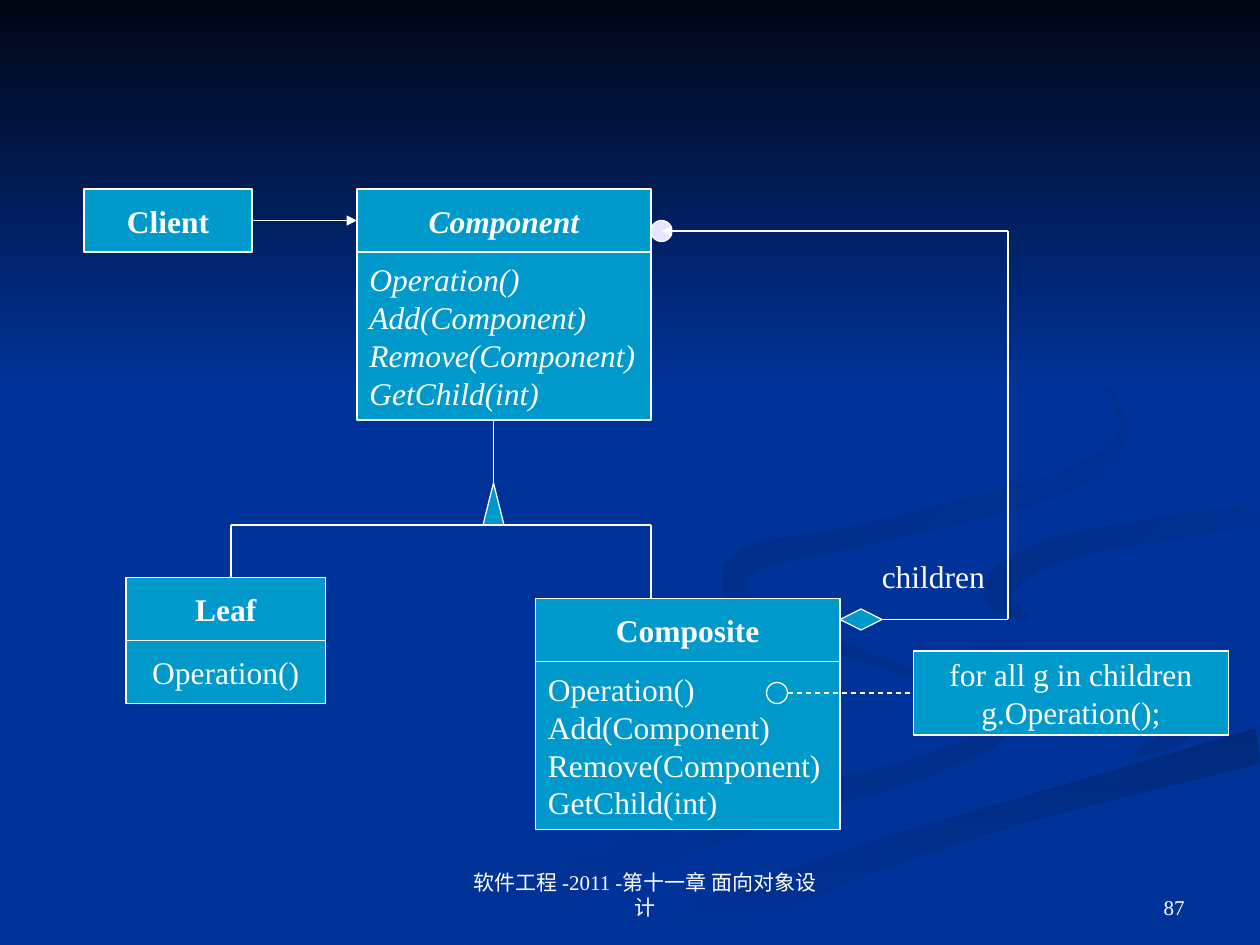
from dataclasses import dataclass
from math import hypot

from lxml.etree import SubElement
from pptx import Presentation
from pptx.dml.color import RGBColor
from pptx.enum.dml import MSO_LINE
from pptx.enum.shapes import MSO_CONNECTOR, MSO_SHAPE
from pptx.enum.text import MSO_ANCHOR, PP_ALIGN
from pptx.oxml.ns import qn
from pptx.util import Cm, Pt


@dataclass(frozen=True)
class Theme:
    font: str = "Times New Roman"
    ground: str = "003399"
    night: str = "000514"
    box: str = "0099CC"
    dot: str = "E5E5FF"
    ink: str = "FFFFFF"
    body: int = 18
    footer: int = 12
    line: float = 0.75


THEME = Theme()
GRID = 2.54 / 12  # cm; everything is laid out on this grid
WIDTH, HEIGHT = 120, 90
TOP, LEFT, BOTTOM, RIGHT = range(4)
TITLE_HEIGHT = 6

MEMBERS = ["Operation()", "Add(Component)", "Remove(Component)", "GetChild(int)"]
# Name: (left, top, width, title, italic, members, member height, alignment)
CLASSES = {
    "client": (8, 18, 16, "Client", False, [], 0, None),
    "component": (34, 18, 28, "Component", True, MEMBERS, 16, PP_ALIGN.LEFT),
    "leaf": (12, 55, 19, "Leaf", False, MEMBERS[:1], 6, PP_ALIGN.CENTER),
    "composite": (51, 57, 29, "Composite", False, MEMBERS, 16, PP_ALIGN.LEFT),
}
NOTE = (87, 62, 30, 8), ["for all g in children", "g.Operation();"]
SYMBOLS = {
    "inheritance": (MSO_SHAPE.ISOSCELES_TRIANGLE, (46, 46, 2, 4), THEME.box),
    "call": (MSO_SHAPE.OVAL, (73, 65, 2, 2), THEME.box),
    "aggregation": (MSO_SHAPE.DIAMOND, (80, 58, 4, 2), THEME.box),
    "many": (MSO_SHAPE.OVAL, (62, 21, 2, 2), THEME.dot),
}
# From, to, then what is special about the link
LINKS = [
    ((47, 40), (47, 46), {"target": ("inheritance", TOP)}),
    ((22, 50), (62, 50), {}),
    ((22, 50), (22, 55), {}),
    ((62, 50), (62, 57), {}),
    ((75, 66), (87, 66), {"dashed": True, "target": ("note", LEFT)}),
    ((84, 59), (96, 59), {"source": ("aggregation", RIGHT)}),
    ((96, 59), (96, 22), {}),
    ((96, 22), (63, 22), {"arrow": True}),
    ((24, 21), (34, 21), {"arrow": True, "source": ("client", RIGHT),
                          "target": ("component", LEFT)}),
]
ROLE = (82.8, 52.5, 12.3, 4.8), ["children"]
FOOTERS = [
    ((41, 82, 38, 6.2), "软件工程 -2011 -第十一章 面向对象设计", PP_ALIGN.CENTER),
    ((86, 82, 28, 6.2), "87", PP_ALIGN.RIGHT),
]

# Background ribbons: first colour, last colour, clockwise angle,
# centre line as (x, y, half thickness)
RIBBONS = [
    ("002E8A", THEME.ground, 180, [
        (69, 55, 0.3), (73, 59, 0.5), (89, 65, 0.5), (95, 69, 1),
        (88, 73, 1), (67, 79, 1.7), (41, 89, 3)]),
    ("002E8A", THEME.ground, 225, [
        (87, 56, 0.1), (91, 60, 0.6), (103, 64, 0.7), (112, 69, 1.4), (108, 72, 0.1)]),
    ("00297C", THEME.ground, 90, [
        (64, 89, 2), (82, 82, 1.4), (98, 77, 1.2), (120, 71, 1.7)]),
    (THEME.ground, "002C85", 225, [
        (98, 59, 0.2), (95, 56, 1.3), (102, 52, 1.1), (120, 49, 1.1)]),
    (THEME.ground, "002B81", 225, [
        (92, 28, 0.1), (103, 35, 0.2), (107, 41, 0.5), (101, 46, 1.1),
        (82, 51, 1), (72, 53, 1.2), (70, 56, 1), (75, 60, 0.1)]),
]


def on_grid(values):
    return [Cm(value * GRID) for value in values]


def smooth_curve(knots, steps=8):
    """Return points of a Catmull-Rom curve through the knots."""
    padded = [knots[0], *knots, knots[-1]]
    curve = []
    for quad in zip(padded, padded[1:], padded[2:], padded[3:]):
        for t in (step / steps for step in range(steps)):
            curve.append([
                b + t * (c - a + t * (2 * a - 5 * b + 4 * c - d + t * (3 * b - a - 3 * c + d))) / 2
                for a, b, c, d in zip(*quad)])
    return curve + [knots[-1]]


def ribbon_outline(knots):
    """Offset the centre line to both sides, staying on the slide."""
    curve = smooth_curve(knots)
    sides = [], []
    for index, (x, y, half) in enumerate(curve):
        before, after = curve[max(index - 1, 0)], curve[min(index + 1, len(curve) - 1)]
        dx, dy = after[0] - before[0], after[1] - before[1]
        length = hypot(dx, dy)
        for side, sign in zip(sides, (1, -1)):
            side.append((min(x - sign * half * dy / length, WIDTH),
                         min(y + sign * half * dx / length, HEIGHT)))
    return sides[0] + sides[1][::-1]


def paint_gradient(shape, first, last, clockwise):
    shape.shadow.inherit = False
    shape.line.fill.background()
    shape.fill.gradient()
    shape.fill.gradient_angle = (360 - clockwise) % 360
    for stop, color in zip(shape.fill.gradient_stops, (first, last)):
        stop.color.rgb = RGBColor.from_string(color)


def add_background(slide):
    slide.background.fill.solid()
    slide.background.fill.fore_color.rgb = RGBColor.from_string(THEME.ground)
    for first, last, angle, knots in RIBBONS:
        outline = [on_grid(point) for point in ribbon_outline(knots)]
        builder = slide.shapes.build_freeform(*outline[0])
        builder.add_line_segments(outline[1:], close=True)
        paint_gradient(builder.convert_to_shape(), first, last, angle)
    sky = slide.shapes.add_shape(MSO_SHAPE.RECTANGLE, 0, 0, *on_grid((WIDTH, 37)))
    paint_gradient(sky, THEME.night, THEME.ground, 90)


def write(shape, lines, align, size=THEME.body, bold=False, italic=False):
    frame = shape.text_frame
    frame.word_wrap = False
    frame.text = "\n".join(lines)
    for paragraph in frame.paragraphs:
        paragraph.alignment = align
        font = paragraph.font
        font.name, font.size, font.bold, font.italic = THEME.font, Pt(size), bold, italic
        font.color.rgb = RGBColor.from_string(THEME.ink)
    return frame


def add_block(slide, preset, place, color=THEME.box):
    block = slide.shapes.add_shape(preset, *on_grid(place))
    block.shadow.inherit = False
    block.fill.solid()
    block.fill.fore_color.rgb = RGBColor.from_string(color)
    block.line.color.rgb = RGBColor.from_string(THEME.ink)
    block.line.width = Pt(THEME.line)
    return block


def add_box(slide, place, lines, align=PP_ALIGN.CENTER, **style):
    box = add_block(slide, MSO_SHAPE.RECTANGLE, place)
    write(box, lines, align, **style).vertical_anchor = MSO_ANCHOR.MIDDLE
    return box


def add_link(slide, parts, start, end, arrow=False, dashed=False, source=None, target=None):
    link = slide.shapes.add_connector(MSO_CONNECTOR.STRAIGHT, *on_grid(start + end))
    if source:
        link.begin_connect(parts[source[0]], source[1])
    if target:
        link.end_connect(parts[target[0]], target[1])
    link.line.color.rgb = RGBColor.from_string(THEME.ink)
    link.line.width = Pt(THEME.line)
    if dashed:
        link.line.dash_style = MSO_LINE.DASH
    if arrow:
        SubElement(link.line._get_or_add_ln(), qn("a:tailEnd"), type="triangle")
    SubElement(link._element.spPr, qn("a:effectLst"))


def main():
    deck = Presentation()
    deck.slide_width, deck.slide_height = on_grid((WIDTH, HEIGHT))
    slide = deck.slides.add_slide(deck.slide_layouts[6])
    add_background(slide)

    parts = {}
    for name, (left, top, width, title, italic, members, depth, align) in CLASSES.items():
        heading = (left, top, width, TITLE_HEIGHT)
        parts[name] = add_box(slide, heading, [title], bold=True, italic=italic)
        if members:
            body = (left, top + TITLE_HEIGHT, width, depth)
            add_box(slide, body, members, align, italic=italic)
    parts["note"] = add_box(slide, *NOTE)
    for name, symbol in SYMBOLS.items():
        parts[name] = add_block(slide, *symbol)
    for start, end, traits in LINKS:
        add_link(slide, parts, start, end, **traits)

    place, lines = ROLE
    write(slide.shapes.add_textbox(*on_grid(place)), lines, PP_ALIGN.LEFT)
    for place, text, align in FOOTERS:
        frame = write(slide.shapes.add_textbox(*on_grid(place)), [text], align, THEME.footer)
        frame.word_wrap = True
        frame.vertical_anchor = MSO_ANCHOR.BOTTOM
        frame.paragraphs[0]._p.get_or_add_pPr().set("marL", str(Cm(0.6)))
    deck.save("out.pptx")


if __name__ == "__main__":
    main()
